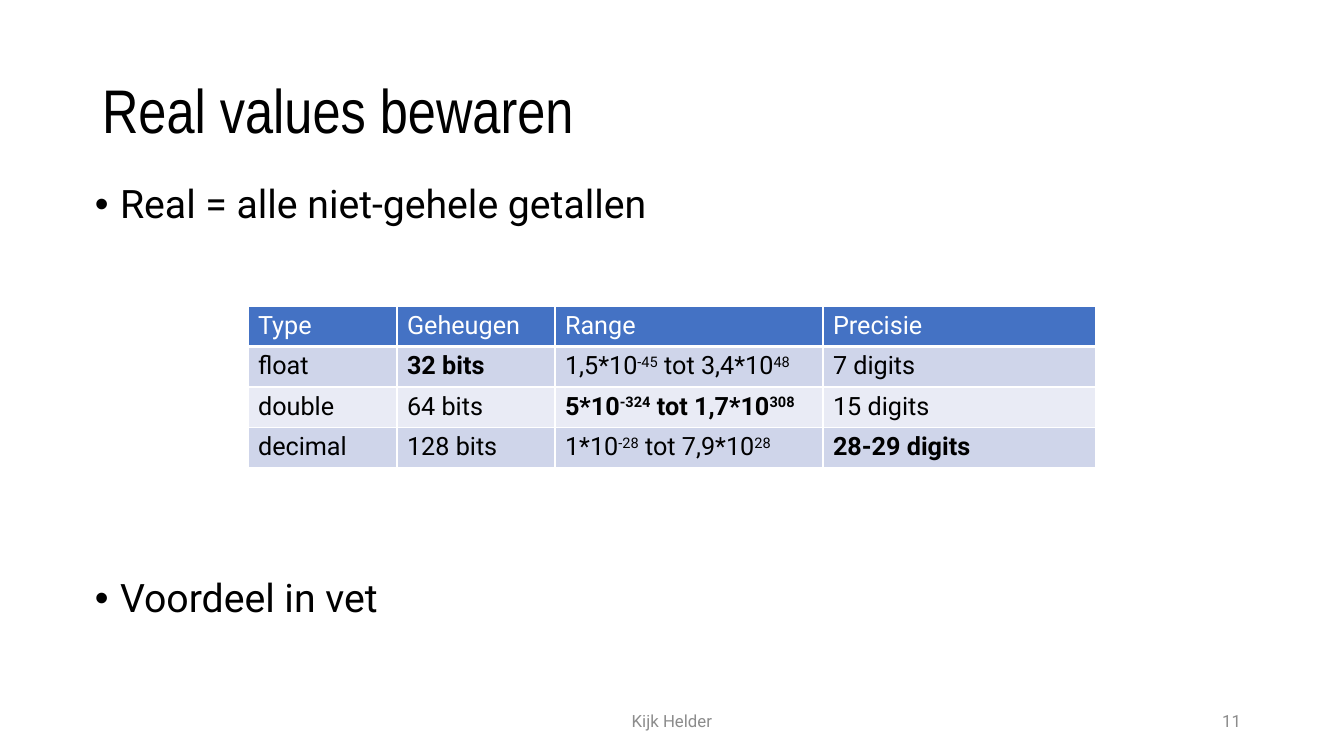
from lxml import etree
from pptx import Presentation
from pptx import util as u
from pptx.dml.color import RGBColor
from pptx.enum import text
from pptx.oxml import ns

PX = 914400 / 100.8
BODY_FONT = "Roboto"
BLACK, WHITE, GREY = "000000", "FFFFFF", "8C8C8C"
HEADER_FILL, BAND_FILLS = "4472C4", ("CFD5EA", "E9EBF5")

COLUMN_WIDTHS = (149, 158, 268, 273)
# In a cell, ^ switches superscript on and off; a leading * makes the cell bold.
ROWS = (
    ("Type", "Geheugen", "Range", "Precisie"),
    ("float", "*32 bits", "1,5*10^-45^ tot 3,4*10^48", "7 digits"),
    ("double", "64 bits", "*5*10^-324^ tot 1,7*10^308", "15 digits"),
    ("decimal", "128 bits", "1*10^-28^ tot 7,9*10^28", "*28-29 digits"),
)


def px(length):
    return u.Emu(round(length * PX))


def rgb(code):
    return RGBColor.from_string(code)


def style(para, size, color, name=BODY_FONT, bold=False):
    font = para.font
    font.size, font.name, font.bold = u.Pt(size), name, bold
    font.color.rgb = rgb(color)


def add_title(page, box, words):
    title = page.shapes.title
    title.left, title.top, title.width, title.height = map(px, box)
    frame = title.text_frame
    frame.text = words
    frame.vertical_anchor = text.MSO_ANCHOR.MIDDLE
    para = frame.paragraphs[0]
    para.alignment, para.line_spacing = text.PP_ALIGN.LEFT, 0.9
    style(para, 44, BLACK, "Arial Narrow")


def add_text_frame(page, box):
    frame = page.shapes.add_textbox(*map(px, box)).text_frame
    frame.word_wrap = True
    return frame


def add_bullets(page, box, items):
    """Each item is its words and the space before it in points."""
    frame = add_text_frame(page, box)
    for index, (words, space) in enumerate(items):
        para = frame.add_paragraph() if index else frame.paragraphs[0]
        para.text = words
        para.line_spacing, para.space_before = 0.9, u.Pt(space)
        style(para, 28, BLACK)
        props = para._p.get_or_add_pPr()
        props.set("marL", str(u.Inches(0.25)))
        props.set("indent", str(-u.Inches(0.25)))
        for tag, key, value in (("a:buFont", "typeface", "Arial"), ("a:buChar", "char", "•")):
            bullet = etree.Element(ns.qn(tag), {key: value})
            props.insert_element_before(bullet, "a:tabLst", "a:defRPr", "a:extLst")


def add_borders(cell, bottom):
    props = cell._tc.get_or_add_tcPr()
    for side, width in (("L", 1), ("R", 1), ("T", 1), ("B", bottom)):
        line = etree.SubElement(props, ns.qn(f"a:ln{side}"), w=str(u.Pt(width)))
        fill = etree.SubElement(line, ns.qn("a:solidFill"))
        etree.SubElement(fill, ns.qn("a:srgbClr"), val=WHITE)


def fill_cell(cell, words, color, fill, bottom):
    add_borders(cell, bottom)
    cell.fill.solid()
    cell.fill.fore_color.rgb = rgb(fill)
    para = cell.text_frame.paragraphs[0]
    bold = words.startswith("*")
    style(para, 18, color, bold=bold)
    for index, part in enumerate(words[bold:].split("^")):
        span = para.add_run()
        span.text = part
        if index % 2:
            span._r.get_or_add_rPr().set("baseline", "30000")


def add_type_table(page, box):
    table = page.shapes.add_table(len(ROWS), len(COLUMN_WIDTHS), *map(px, box)).table
    for column, width in zip(table.columns, COLUMN_WIDTHS):
        column.width = px(width)
    for r, row in enumerate(ROWS):
        table.rows[r].height = px(box[3] / len(ROWS))
        look = (BLACK, BAND_FILLS[(r - 1) % 2], 1) if r else (WHITE, HEADER_FILL, 3)
        for c, words in enumerate(row):
            fill_cell(table.cell(r, c), words, *look)


def add_footer(page, box, words, alignment):
    frame = add_text_frame(page, box)
    frame.vertical_anchor = text.MSO_ANCHOR.MIDDLE
    para = frame.paragraphs[0]
    para.text, para.alignment = words, alignment
    style(para, 12, GREY)


def main():
    deck = Presentation()
    deck.slide_width, deck.slide_height = px(1344), px(756)
    page = deck.slides.add_slide(deck.slide_layouts.get_by_name("Title Only"))
    add_title(page, (92, 41, 1159, 146), "Real values bewaren")
    add_bullets(page, (85, 180, 1159, 480),
                (("Real = alle niet-gehele getallen", 10), ("Voordeel in vet", 251)))
    add_type_table(page, (248, 306, sum(COLUMN_WIDTHS), 162))
    add_footer(page, (445, 701, 454, 40), "Kijk Helder", text.PP_ALIGN.CENTER)
    add_footer(page, (949, 701, 302, 40), "11", text.PP_ALIGN.RIGHT)
    deck.save("out.pptx")


if __name__ == "__main__":
    main()
